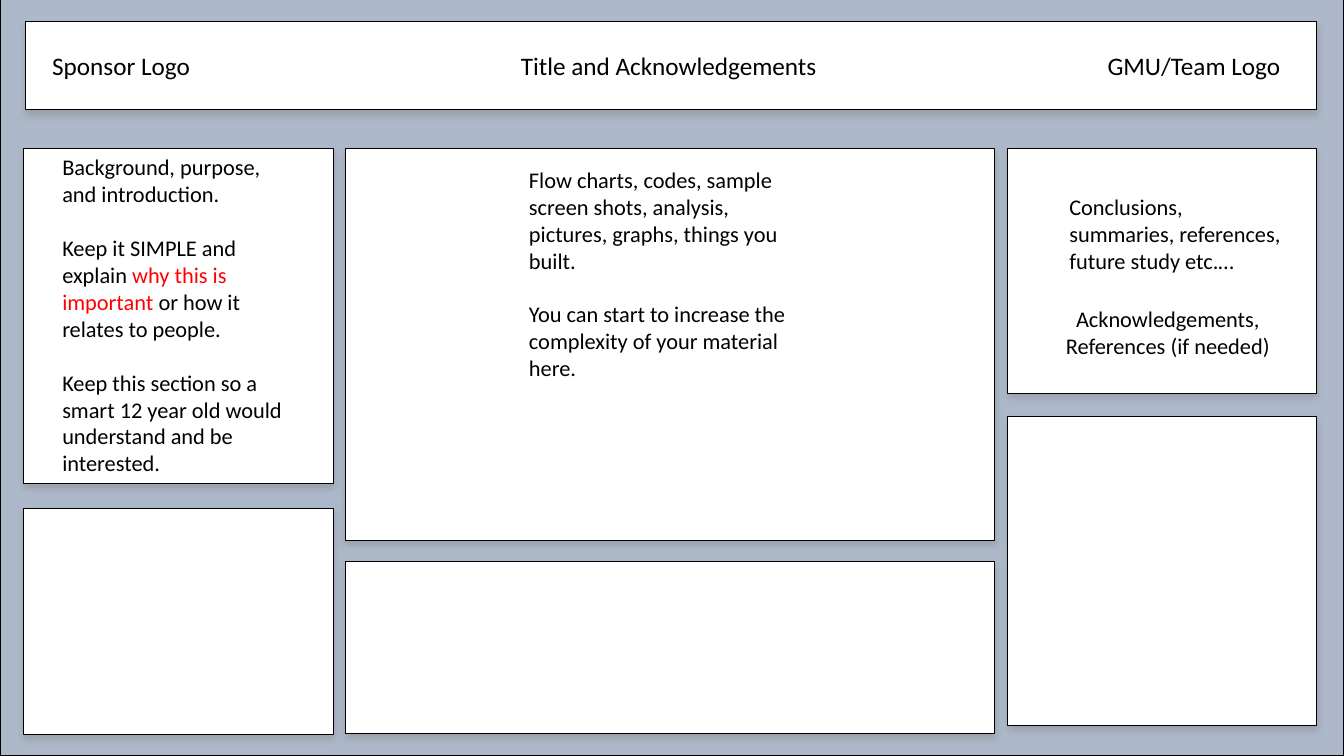
from lxml import etree
from pptx import Presentation
from pptx.dml.color import RGBColor
from pptx.enum.shapes import MSO_SHAPE
from pptx.enum.text import MSO_AUTO_SIZE, PP_ALIGN
from pptx.oxml.ns import qn
from pptx.util import Pt

RECT = MSO_SHAPE.RECTANGLE
GROW = MSO_AUTO_SIZE.SHAPE_TO_FIT_TEXT
LEFT, CENTER = PP_ALIGN.LEFT, PP_ALIGN.CENTER
BLACK = RGBColor(0, 0, 0)
WHITE = RGBColor(255, 255, 255)
RED = RGBColor(255, 0, 0)
BLUE = RGBColor(0xAD, 0xB9, 0xCA)
FONT = "Calibri"
WIDTH, HEIGHT = 960, 540
TOP = 105.8
COLUMNS = [
    (16.6, 221.8, 239.8, 362.9, 162),
    (247, 463.7, 280.1, 401, 123.1),
    (720, 220.3, 175, 297.4, 221),
]


def add_shadow(shape):
    shape.shadow.inherit = False
    effects = shape._element.spPr.find(qn("a:effectLst"))
    shadow = etree.SubElement(
        effects, qn("a:outerShdw"), blurRad=str(Pt(5.2)), dist=str(Pt(3)),
        dir="5400000", rotWithShape="0")
    color = etree.SubElement(shadow, qn("a:srgbClr"), val="808080")
    etree.SubElement(color, qn("a:alpha"), val="40000")


def add_panel(slide, x, y, w, h, fill=WHITE):
    panel = slide.shapes.add_shape(RECT, Pt(x), Pt(y), Pt(w), Pt(h))
    panel.fill.solid()
    panel.fill.fore_color.rgb = fill
    panel.line.color.rgb = BLACK
    panel.line.width = Pt(0.75)
    add_shadow(panel)


def add_text(slide, text, x, y, w, h, size=16, wrap=True, align=LEFT,
             gap=19.5, accent=""):
    box = slide.shapes.add_textbox(Pt(x), Pt(y), Pt(w), Pt(h))
    frame = box.text_frame
    frame.word_wrap = wrap
    frame.auto_size = GROW
    for index, line in enumerate(text.split("\n")):
        para = frame.add_paragraph() if index else frame.paragraphs[0]
        para.alignment = align
        if index:
            para.space_before = Pt(gap)
        before, mark, after = line.partition(accent) if accent else (line, "", "")
        for part, color in ((before, BLACK), (mark, RED), (after, BLACK)):
            if part:
                run = para.add_run()
                run.text = part
                run.font.name = FONT
                run.font.size = Pt(size)
                run.font.color.rgb = color


def main():
    deck = Presentation()
    deck.slide_width, deck.slide_height = Pt(WIDTH), Pt(HEIGHT)
    slide = deck.slides.add_slide(deck.slide_layouts[6])

    add_panel(slide, 0, 0, WIDTH, HEIGHT, fill=BLUE)
    add_panel(slide, 18, 15.1, 922.3, 63.4)
    for x, w, upper, lower, rest in COLUMNS:
        add_panel(slide, x, TOP, w, upper)
        add_panel(slide, x, lower, w, rest)

    for text, x, w in (("Sponsor Logo", 30.2, 114.5),
                       ("Title and Acknowledgements", 365, 229),
                       ("GMU/Team Logo", 784.1, 141.1)):
        add_text(slide, text, x, 32.6, w, 29, size=18, wrap=False)

    add_text(slide, "Background, purpose, and introduction.\n"
             "Keep it SIMPLE and explain why this is important or how it "
             "relates to people.\n"
             "Keep this section so a smart 12 year old would understand "
             "and be interested.",
             37.4, TOP, 173.5, 239.8, accent="why this is important ")
    add_text(slide, "Flow charts, codes, sample screen shots, analysis, "
             "pictures, graphs, things you built.", 370.8, 115.2, 208, 85)
    add_text(slide, "You can start to increase the complexity of your "
             "material here.", 370.8, 211, 197.3, 65.5)
    add_text(slide, "Conclusions, summaries, references, future study etc.…",
             756.7, 134.6, 166.3, 65.5)
    add_text(slide, "Acknowledgements, References (if needed)",
             747.4, 214.6, 173.5, 46, align=CENTER)

    deck.save("out.pptx")


if __name__ == "__main__":
    main()
